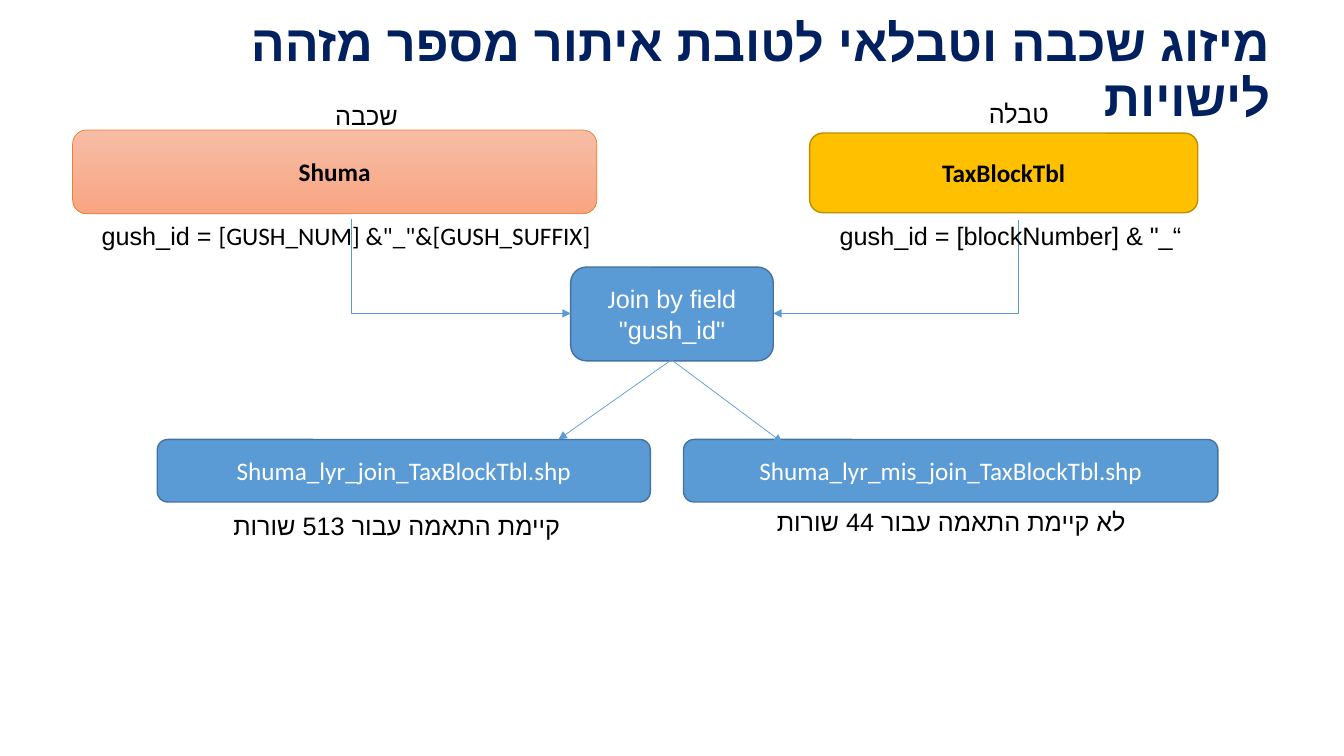
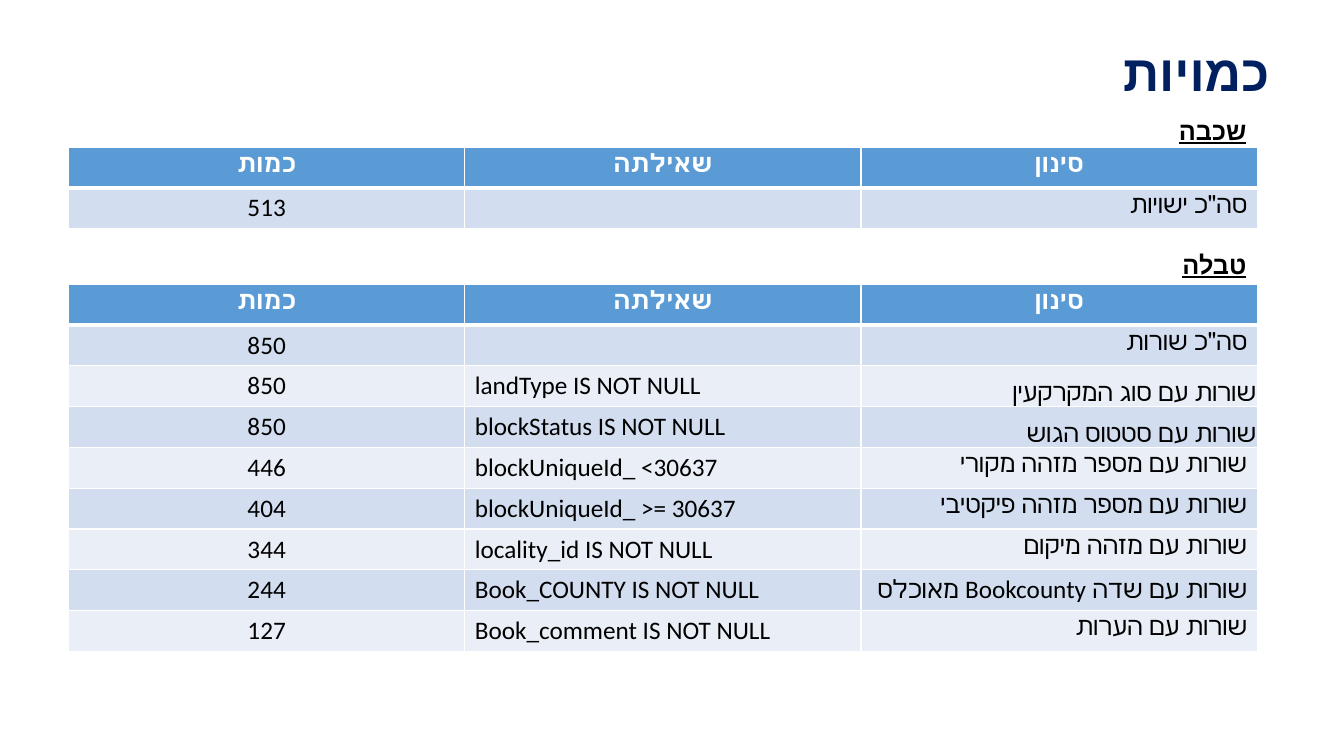
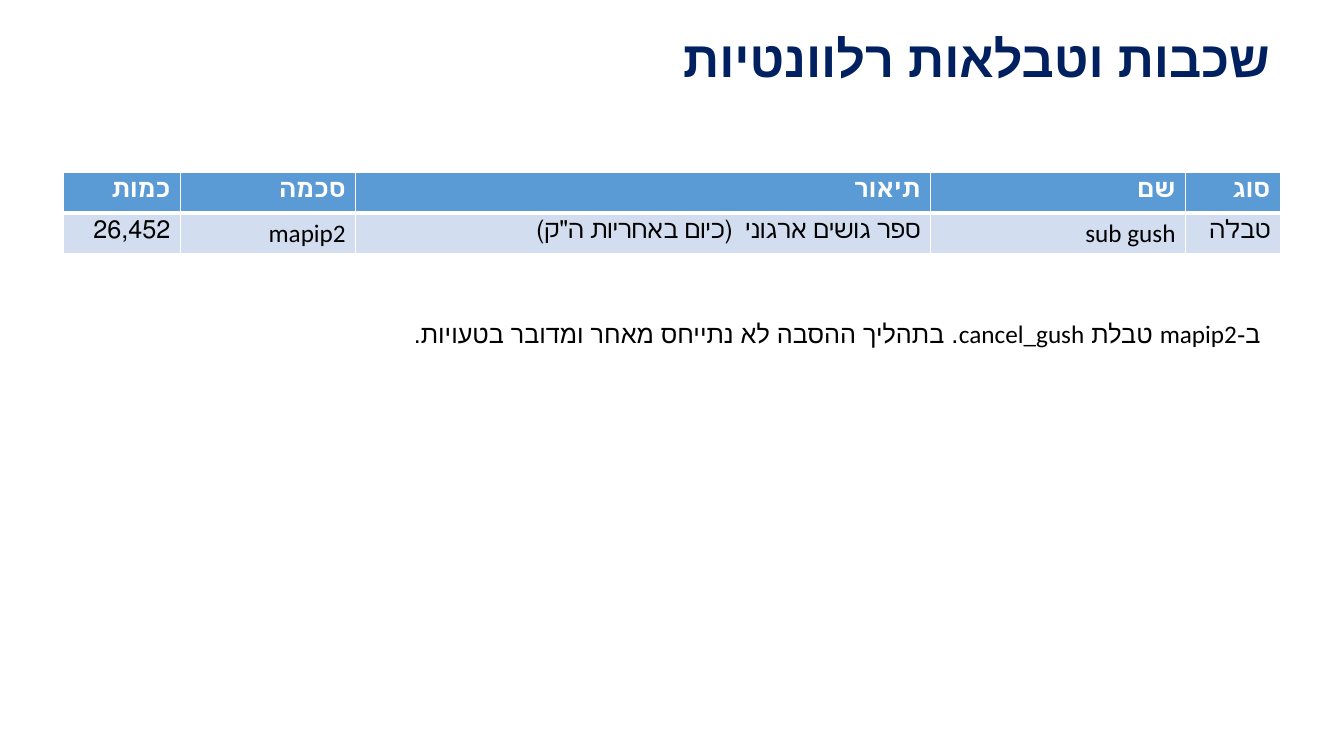
from dataclasses import dataclass

from lxml.etree import SubElement
from pptx import Presentation
from pptx.dml.color import RGBColor
from pptx.enum.shapes import MSO_CONNECTOR, MSO_SHAPE
from pptx.enum.text import MSO_ANCHOR, MSO_AUTO_SIZE, PP_ALIGN
from pptx.oxml.ns import qn
from pptx.util import Inches, Pt

LEFT, MID, RIGHT = PP_ALIGN.LEFT, PP_ALIGN.CENTER, PP_ALIGN.RIGHT


@dataclass(frozen=True)
class Theme:
    """Colours, fonts and type sizes of the deck."""
    navy: str = "002060"
    blue: str = "5B9BD5"
    edge: str = "43739E"
    gold: str = "FFC000"
    rim: str = "BD8E00"
    peach: tuple = ("F7BDA5", "F8A582")
    orange: str = "ED7D31"
    bands: tuple = ("D2DEEF", "EAEFF7")
    black: str = "000000"
    white: str = "FFFFFF"
    face: str = "Calibri"
    sans: str = "Arial"
    head: int = 36
    body: int = 18


THEME = Theme()


def rgb(code):
    """Turn a hex code into a colour."""
    return RGBColor.from_string(code)


def box(*sizes):
    """Turn numbers into inch lengths."""
    return [Inches(size) for size in sizes]


def style(font, color=THEME.black, size=THEME.body, face=THEME.face, bold=False, hebrew=True):
    """Set the look of a font, with a face for Hebrew letters on request."""
    font.size, font.name, font.bold = Pt(size), face, bold
    font.color.rgb = rgb(color)
    if hebrew:
        SubElement(font._rPr, qn("a:cs")).set("typeface", THEME.sans)


def flow(para, align, rtl=False):
    """Align a paragraph and set its reading direction."""
    para.alignment = align
    if rtl:
        para._p.get_or_add_pPr().set("rtl", "1")


def add_page(deck, title, left, top):
    """Add a slide with its title."""
    page = deck.slides.add_slide(deck.slide_layouts[5])
    shape = page.shapes.title
    shape.left, shape.top, shape.width, shape.height = box(left, top, 12.08, 0.68)
    frame = shape.text_frame
    frame.text = title
    frame.word_wrap, frame.auto_size = True, MSO_AUTO_SIZE.NONE
    frame.vertical_anchor = MSO_ANCHOR.MIDDLE
    para = frame.paragraphs[0]
    flow(para, RIGHT, True)
    para.line_spacing = 0.9
    style(para.font, THEME.navy, THEME.head, bold=True)
    return page


def add_runs(para, parts, color):
    """Fill a paragraph with runs of different faces."""
    for text, face in parts:
        run = para.add_run()
        run.text = text
        style(run.font, color, face=face)


def add_label(page, area, text="", align=MID, face=THEME.face, bold=False, rtl=False):
    """Add a line of text and return its paragraph."""
    frame = page.shapes.add_textbox(*box(*area)).text_frame
    frame.word_wrap = True
    para = frame.paragraphs[0]
    flow(para, align, rtl)
    if text:
        para.text = text
        style(para.font, face=face, bold=bold)
    return para


def add_node(page, area, text="", fill=THEME.blue, edge=THEME.edge, width=1,
             color=THEME.white, bold=False):
    """Add a rounded box with centred text."""
    node = page.shapes.add_shape(MSO_SHAPE.ROUNDED_RECTANGLE, *box(*area))
    node.shadow.inherit = False
    if isinstance(fill, tuple):
        node.fill.gradient()
        node.fill.gradient_angle = 270
        for stop, code in zip(node.fill.gradient_stops, fill):
            stop.color.rgb = rgb(code)
    else:
        node.fill.solid()
        node.fill.fore_color.rgb = rgb(fill)
    node.line.color.rgb, node.line.width = rgb(edge), Pt(width)
    node.text_frame.word_wrap = True
    node.text_frame.vertical_anchor = MSO_ANCHOR.MIDDLE
    para = node.text_frame.paragraphs[0]
    flow(para, MID)
    if text:
        para.text = text
        style(para.font, color, bold=bold)
    return node


def add_arrow(page, start, end, kind=MSO_CONNECTOR.STRAIGHT):
    """Add a thin arrow between two points."""
    arrow = page.shapes.add_connector(kind, *box(*start, *end))
    arrow.line.color.rgb, arrow.line.width = rgb(THEME.blue), Pt(0.5)
    SubElement(arrow.line._get_or_add_ln(), qn("a:tailEnd")).set("type", "triangle")
    SubElement(arrow._element.spPr, qn("a:effectLst"))
    return arrow


def add_elbow(page, start, end, node, site):
    """Add an arrow that drops, then turns into a side of a node."""
    arrow = add_arrow(page, start, end, MSO_CONNECTOR.ELBOW)
    arrow.end_connect(node, site)
    (x1, y1), (x2, y2) = start, end
    wide, high = abs(y2 - y1), abs(x2 - x1)
    area = (x1 + x2 - wide) / 2, (y1 + y2 - high) / 2, wide, high
    arrow.left, arrow.top, arrow.width, arrow.height = box(*area)
    right = x2 > x1
    frame = arrow._element.spPr.find(qn("a:xfrm"))
    frame.set("rot", str((270 if right else 90) * 60000))
    frame.set("flipH", "1" if right else "0")
    frame.set("flipV", "0")
    arrow._element.spPr.find(qn("a:prstGeom")).set("prst", "bentConnector2")


def add_edges(cell, row):
    """Draw white cell borders, thick under the header row."""
    props = cell._tc.get_or_add_tcPr()
    for side in "LRTB":
        thick = (row, side) in ((0, "B"), (1, "T"))
        line = SubElement(props, qn(f"a:ln{side}"), w=str(Pt(3 if thick else 1)))
        fill = SubElement(line, qn("a:solidFill"))
        SubElement(fill, qn("a:srgbClr"), val=THEME.white)


def add_grid(page, left, top, widths, rows, aligns, head, low=()):
    """Add a banded table; rows listed in low hug the cell's lower right."""
    high = 0.405
    area = box(left, top, sum(widths), high * len(rows))
    table = page.shapes.add_table(len(rows), len(widths), *area).table
    for column, width in zip(table.columns, widths):
        column.width = Inches(width)
    for r, texts in enumerate(rows):
        table.rows[r].height = Inches(high)
        for c, text in enumerate(texts):
            cell = table.cell(r, c)
            add_edges(cell, r)
            cell.fill.solid()
            cell.fill.fore_color.rgb = rgb(THEME.bands[(r - 1) % 2] if r else THEME.blue)
            align = aligns[c] if r else head
            para = cell.text_frame.paragraphs[0]
            para.text = text
            flow(para, align, align == RIGHT or r == 0)
            style(para.font, THEME.black if r else THEME.white, bold=r == 0, hebrew=False)
            if r in low and align == RIGHT:
                cell.vertical_anchor = MSO_ANCHOR.BOTTOM
                cell.margin_left = cell.margin_right = cell.margin_top = Inches(0.01)
                cell.margin_bottom = 0


def add_join(deck):
    """Build the slide on joining layer and table."""
    page = add_page(deck, "מיזוג שכבה וטבלאי לטובת איתור מספר מזהה לישויות", 0.62, 0.38)
    add_node(page, (8.03, 1.32, 3.85, 0.79), "TaxBlockTbl", THEME.gold, THEME.rim,
             color=THEME.black, bold=True)
    add_node(page, (0.72, 1.29, 5.2, 0.83), "Shuma", THEME.peach, THEME.orange, 0.5,
             THEME.black, True)
    join = add_node(page, (5.66, 2.65, 2.01, 0.93))
    add_runs(join.text_frame.paragraphs[0],
             [("J", THEME.face), ('oin by field "gush_id"', THEME.sans)], THEME.white)
    add_node(page, (1.56, 4.36, 4.89, 0.62), "Shuma_lyr_join_TaxBlockTbl.shp")
    add_elbow(page, (3.48, 2.17), (5.66, 3.11), join, 1)
    add_elbow(page, (10.1, 2.18), (7.67, 3.11), join, 3)
    add_arrow(page, (6.66, 3.57), (5.54, 4.36))
    add_node(page, (6.78, 4.36, 5.3, 0.62), "Shuma_lyr_mis_join_TaxBlockTbl.shp")
    add_arrow(page, (6.66, 3.57), (7.76, 4.39))
    for left, top, width, text in (
            (2.76, 0.95, 1.75, "שכבה"),
            (9.23, 0.93, 1.75, "טבלה"),
            (1.94, 5.01, 3.99, "קיימת התאמה עבור 513 שורות"),
            (7.44, 4.97, 3.99, "לא קיימת התאמה עבור 44 שורות")):
        add_label(page, (left, top, width, 0.4), text)
    add_label(page, (8.23, 2.14, 3.96, 0.4), 'gush_id = [blockNumber] & "_“', LEFT, THEME.sans)
    para = add_label(page, (0.91, 2.14, 5.14, 0.4), align=LEFT)
    add_runs(para, [("gush_id = ", THEME.sans),
                    ('[GUSH_NUM] &"_"&[GUSH_SUFFIX]', THEME.face)], THEME.black)


def add_counts(deck):
    """Build the slide of row counts."""
    page = add_page(deck, "כמויות", 0.61, 0.41)
    head = ("כמות", "שאילתה", "סינון")
    layer = [("513", "", 'סה"כ ישויות')]
    rows = [
        ("850", "", 'סה"כ שורות'),
        ("850", "landType IS NOT NULL", "שורות עם סוג המקרקעין"),
        ("850", "blockStatus IS NOT NULL", "שורות עם סטטוס הגוש"),
        ("446", "blockUniqueId_ <30637", "שורות עם מספר מזהה מקורי"),
        ("404", "blockUniqueId_ >= 30637", "שורות עם מספר מזהה פיקטיבי"),
        ("344", "locality_id IS NOT NULL", "שורות עם מזהה מיקום"),
        ("244", "Book_COUNTY IS NOT NULL", "שורות עם שדה Bookcounty מאוכלס"),
        ("127", "Book_comment IS NOT NULL", "שורות עם הערות"),
    ]
    for name, y, top, body, low in (("שכבה", 1.09, 1.46, layer, ()),
                                    ("טבלה", 2.42, 2.82, rows, (2, 3))):
        add_grid(page, 0.68, top, [3.93] * 3, [head, *body], (MID, LEFT, RIGHT), MID, low)
        para = add_label(page, (10.63, y, 1.83, 0.4), name, RIGHT, bold=True)
        para.font.underline = True


def add_sources(deck):
    """Build the slide of relevant layers and tables."""
    page = add_page(deck, "שכבות וטבלאות רלוונטיות", 0.62, 0.27)
    rows = [("כמות", "סכמה", "תיאור", "שם", "סוג"),
            ("26,452", "mapip2", 'ספר גושים ארגוני  (כיום באחריות ה"ק)', "sub gush", "טבלה")]
    add_grid(page, 0.63, 1.71, (1.16, 1.74, 5.7, 2.53, 0.94), rows, [RIGHT] * 5, RIGHT)
    add_label(page, (1.63, 3.11, 10.97, 0.4),
              "ב-mapip2 טבלת cancel_gush. בתהליך ההסבה לא נתייחס מאחר ומדובר בטעויות.",
              RIGHT, rtl=True)


def main():
    """Build and save the deck."""
    deck = Presentation()
    deck.slide_width, deck.slide_height = box(13.33, 7.5)
    for build in (add_join, add_counts, add_sources):
        build(deck)
    deck.save("out.pptx")


if __name__ == "__main__":
    main()
